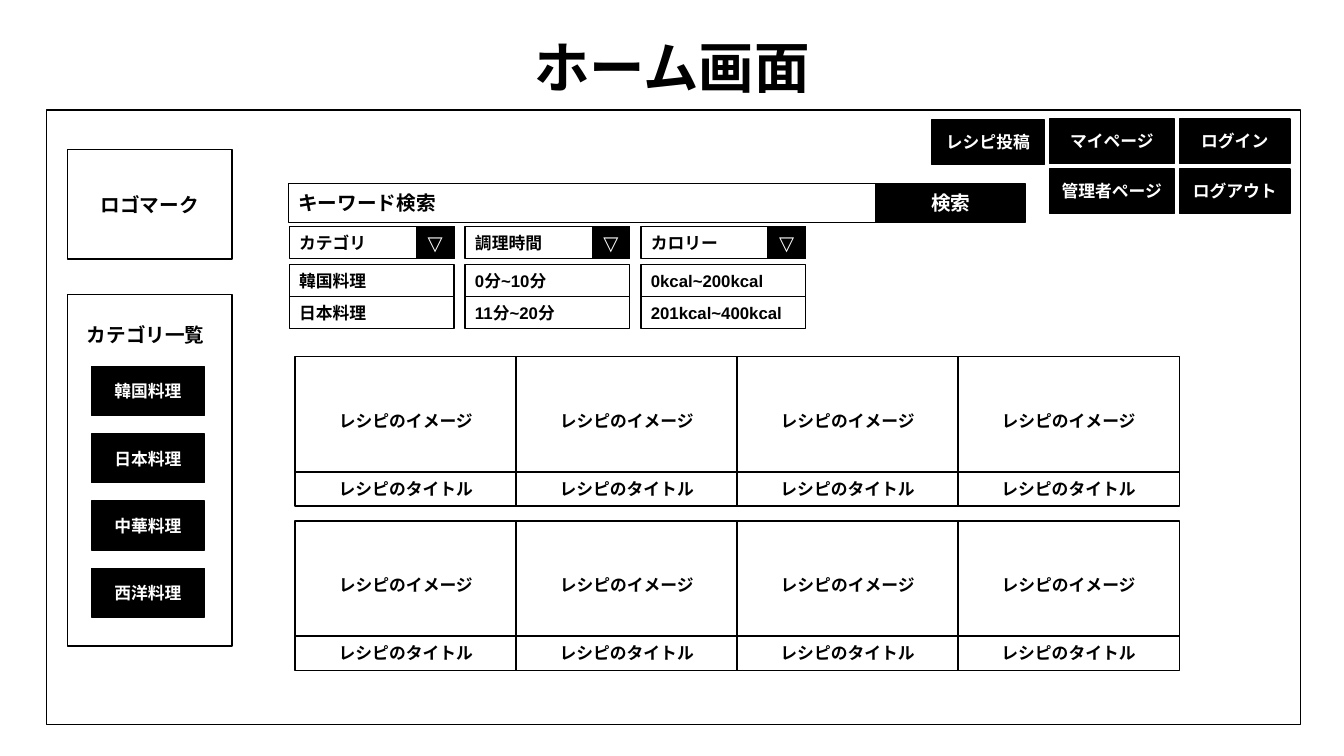
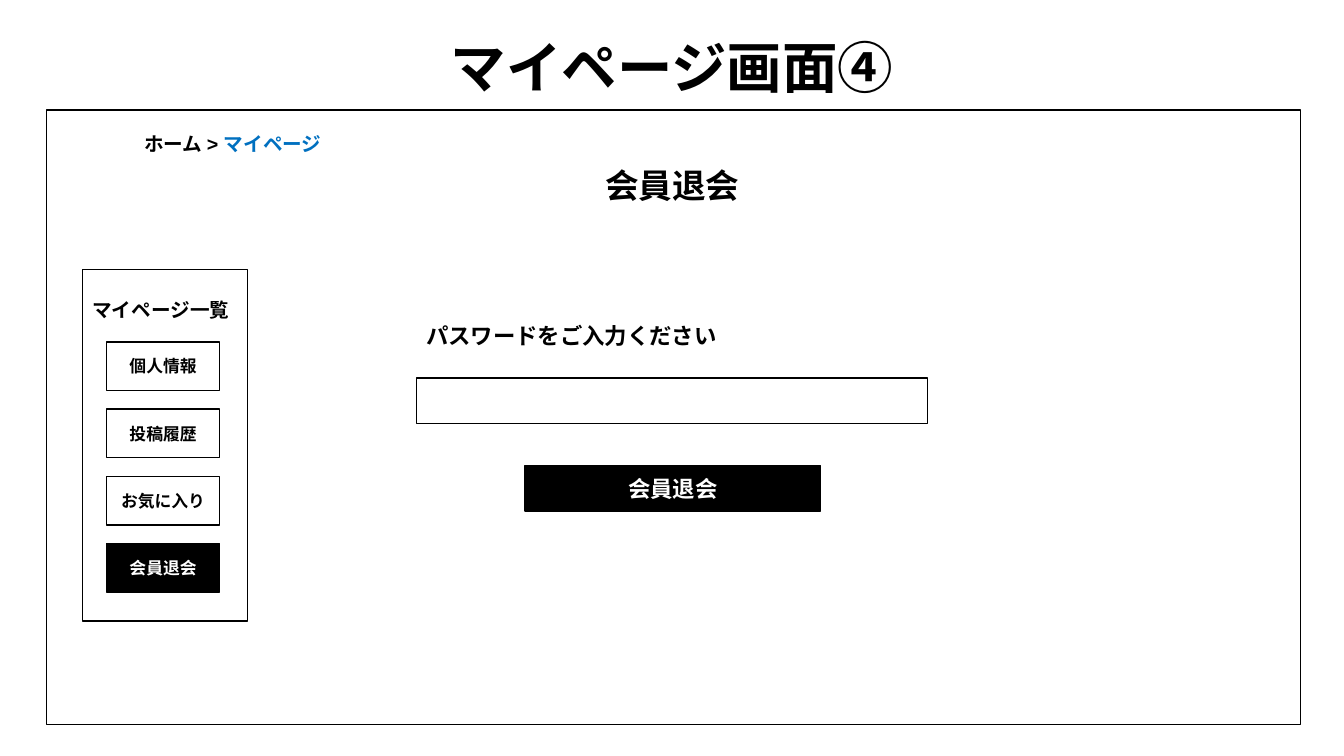
from pptx import Presentation
from pptx.dml.color import RGBColor
from pptx.enum.shapes import MSO_SHAPE
from pptx.enum.text import MSO_ANCHOR, PP_ALIGN
from pptx.util import Pt

RECTANGLE = MSO_SHAPE.RECTANGLE
LEFT, CENTER = PP_ALIGN.LEFT, PP_ALIGN.CENTER
TOP, MIDDLE = MSO_ANCHOR.TOP, MSO_ANCHOR.MIDDLE
BLANK_LAYOUT = 6
FONT = "Arial"
COLORS = {"black": "000000", "white": "FFFFFF", "link": "0070C0"}


def color(name):
    """Return the named colour of the palette."""
    return RGBColor.from_string(COLORS[name])


class Wireframe:
    """Draws wireframe elements on the current slide in one shared style."""

    def __init__(self):
        """Start an empty widescreen presentation."""
        self.presentation = Presentation()
        self.presentation.slide_width = Pt(960)
        self.presentation.slide_height = Pt(540)
        self.slide = None

    def start_screen(self, title):
        """Add a slide with the screen frame and its title."""
        layout = self.presentation.slide_layouts[BLANK_LAYOUT]
        self.slide = self.presentation.slides.add_slide(layout)
        self.box(33.1, 78.5, 895.7, 439.2)
        self.label(66, 28.8, 828, 43.2, [(title, "black")], 39.6,
                   anchor=MIDDLE, line_spacing=0.9)

    def fill_text(self, shape, runs, size, align, anchor, line_spacing=None):
        """Fill a shape with one paragraph of bold coloured runs."""
        frame = shape.text_frame
        frame.word_wrap = True
        frame.vertical_anchor = anchor
        paragraph = frame.paragraphs[0]
        paragraph.alignment = align
        if line_spacing:
            paragraph.line_spacing = line_spacing
        for text, run_color in runs:
            run = paragraph.add_run()
            run.text = text
            run.font.name = FONT
            run.font.size = Pt(size)
            run.font.bold = True
            run.font.color.rgb = color(run_color)

    def label(self, left, top, width, height, runs, size, align=CENTER,
              anchor=TOP, line_spacing=None):
        """Add a text box without fill or outline."""
        shape = self.slide.shapes.add_textbox(
            Pt(left), Pt(top), Pt(width), Pt(height))
        self.fill_text(shape, runs, size, align, anchor, line_spacing)

    def box(self, left, top, width, height, text="", size=12, align=CENTER,
            fill="white", ink="black"):
        """Add an outlined rectangle with optional text."""
        shape = self.slide.shapes.add_shape(
            RECTANGLE, Pt(left), Pt(top), Pt(width), Pt(height))
        shape.shadow.inherit = False
        shape.fill.solid()
        shape.fill.fore_color.rgb = color(fill)
        shape.line.color.rgb = color("black")
        shape.line.width = Pt(1)
        if text:
            self.fill_text(shape, [(text, ink)], size, align, MIDDLE)

    def button(self, left, top, width, height, text, size=12):
        """Add a black button with white text."""
        self.box(left, top, width, height, text, size, fill="black", ink="white")

    def sidebar(self, left, top, heading, items, active):
        """Add a headed column of buttons, black where active."""
        self.box(left, top, 117.6, 251.3)
        self.label(left - 2.9, top + 16.9, 117.6, 24.5, [(heading, "black")], 14)
        for index, item in enumerate(items):
            draw = self.button if item in active else self.box
            draw(left + 17, top + 51.8 + 48 * index, 81, 34.8, item)

    def dropdown(self, left, top, name, options):
        """Add an opened drop-down list."""
        self.box(left, top, 117.6, 23, name, align=LEFT)
        self.button(left + 90.8, top, 26.8, 23, "▽", 14)
        for index, option in enumerate(options):
            self.box(left, top + 27.2 + 23 * index, 117.6, 23, option, align=LEFT)

    def recipe_card(self, left, top):
        """Add a recipe picture area above its title bar."""
        self.box(left, top, 158.2, 91.4, "レシピのイメージ")
        self.box(left, top + 82.2, 158.2, 24.4, "レシピのタイトル")


def build_home(wireframe):
    """Build the home screen."""
    wireframe.start_screen("ホーム画面")
    wireframe.box(48.2, 107, 117.6, 78, "ロゴマーク", 14)
    for left, top, width, text in [
        (665.3, 85.6, 80.8, "レシピ投稿"),
        (749.5, 85, 89.4, "マイページ"),
        (842.4, 85, 79.2, "ログイン"),
        (749.5, 120.6, 89.4, "管理者ページ"),
        (842.4, 120.6, 79.2, "ログアウト"),
    ]:
        wireframe.button(left, top, width, 31.8, text)
    wireframe.box(206, 131, 419.8, 28, "キーワード検索", 14, LEFT)
    wireframe.button(625.8, 131, 106.5, 28, "検索", 14)

    categories = ["韓国料理", "日本料理", "中華料理", "西洋料理"]
    wireframe.sidebar(48.2, 210.2, "カテゴリ一覧", categories, categories)

    filters = [
        ("カテゴリ", categories[:2]),
        ("調理時間", ["0分~10分", "11分~20分"]),
        ("カロリー", ["0kcal~200kcal", "201kcal~400kcal"]),
    ]
    for index, (name, options) in enumerate(filters):
        wireframe.dropdown(206.6 + 125.6 * index, 161.7, name, options)

    for row in range(2):
        for column in range(4):
            wireframe.recipe_card(210.8 + 157.8 * column, 254.8 + 117.4 * row)


def build_withdrawal(wireframe):
    """Build the membership withdrawal screen."""
    action = "会員退会"
    wireframe.start_screen("マイページ画面④")
    wireframe.label(294.5, 114.5, 371.5, 36, [(action, "black")], 24)
    wireframe.sidebar(59, 192.4, "マイページ一覧",
                      ["個人情報", "投稿履歴", "お気に入り", action], [action])
    wireframe.button(375.1, 332.6, 211, 32.4, action, 16)
    wireframe.box(297.4, 270, 365, 32.4)
    wireframe.label(297.4, 226.8, 365, 26.6,
                    [("パスワードをご入力ください", "black")], 16, LEFT)
    wireframe.label(95.8, 90.7, 447.8, 24.5,
                    [("ホーム > ", "black"), ("マイページ", "link")], 14, LEFT)


def main():
    """Build both screens and save them."""
    wireframe = Wireframe()
    build_home(wireframe)
    build_withdrawal(wireframe)
    wireframe.presentation.save("out.pptx")


if __name__ == "__main__":
    main()
